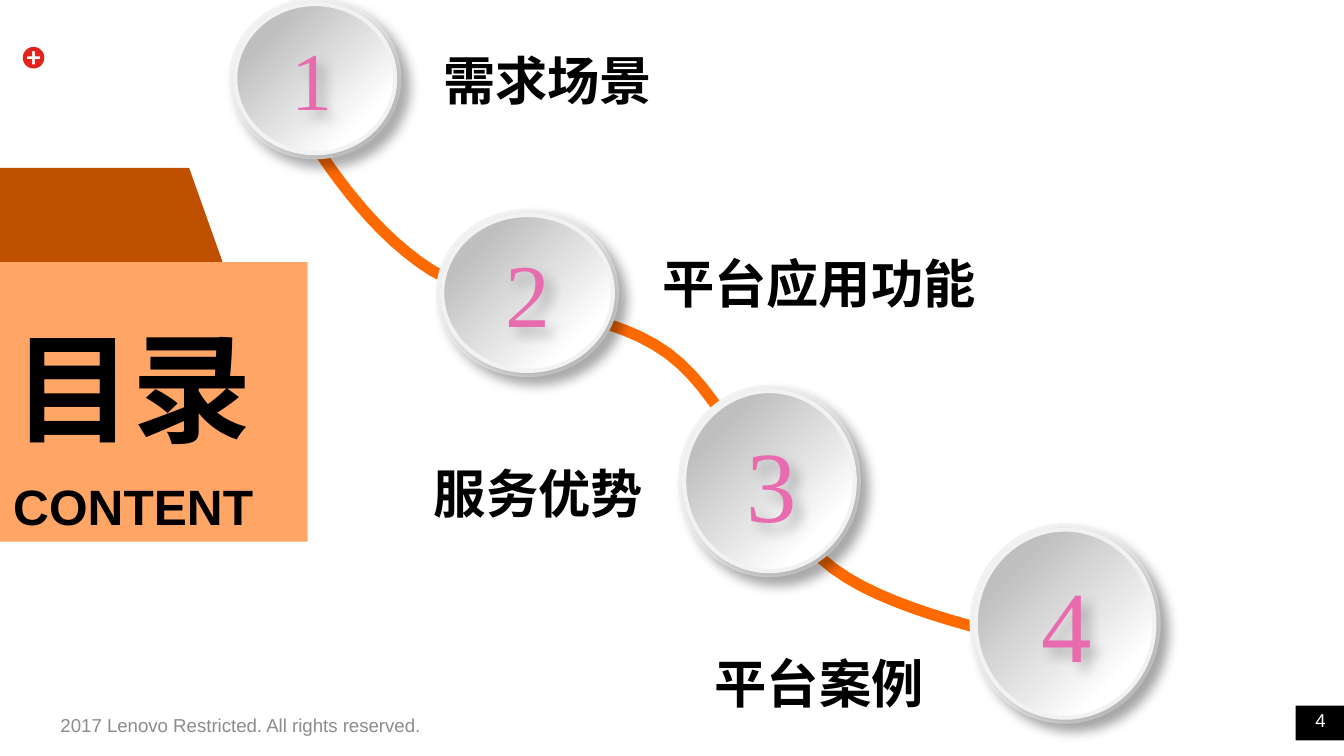
from math import cos, pi, sin

from lxml.etree import SubElement
from pptx import Presentation
from pptx.dml.color import RGBColor
from pptx.enum.shapes import MSO_SHAPE
from pptx.enum.text import MSO_ANCHOR, PP_ALIGN
from pptx.oxml.ns import qn
from pptx.util import Inches, Pt

BLACK = RGBColor(0x00, 0x00, 0x00)
WHITE = RGBColor(0xFF, 0xFF, 0xFF)
GREY = RGBColor(0x8C, 0x8C, 0x8C)
SILVER = RGBColor(0xBF, 0xBF, 0xBF)
RIM = RGBColor(0xF2, 0xF2, 0xF2)
PINK = RGBColor(0xE9, 0x6B, 0xAF)
ORANGE = RGBColor(0xFF, 0x6A, 0x00)
RUST = RGBColor(0xBF, 0x50, 0x00)
PEACH = RGBColor(0xFF, 0xA6, 0x66)
RED = RGBColor(0xE2, 0x23, 0x1A)
CJK_FONT = "Noto Sans CJK SC"

ROUTE = [
    (1.92, 0.39), (2.27, 0.98), (2.61, 1.58), (3.12, 1.95), (3.62, 2.32),
    (4.45, 2.25), (4.97, 2.63), (5.48, 3.01), (5.69, 3.85), (6.2, 4.23),
    (6.71, 4.61), (7.73, 4.75), (8.04, 4.89),
]
DISCS = [
    ("1", 44, (1.72, 0, 1.25, 1.17), (2.07, 0.16, 0.74, 0.84)),
    ("2", 48, (3.26, 1.57, 1.33, 1.22), (3.66, 1.72, 0.71, 0.91)),
    ("3", 54, (5.06, 2.88, 1.33, 1.4), (5.46, 3.09, 0.7, 1.01)),
    ("4", 54, (7.23, 3.91, 1.39, 1.46), (7.65, 4.13, 0.73, 1.01)),
]
TOPICS = [
    ("需求场景", (3.2, 0.31, 1.77, 0.57)),
    ("平台应用功能", (4.83, 1.82, 2.53, 0.57)),
    ("服务优势", (3.13, 3.38, 1.76, 0.57)),
    ("平台案例", (5.22, 4.8, 1.76, 0.57)),
]


def write(para, text, size=28, font="Arial", color=BLACK, bold=False,
          align=PP_ALIGN.LEFT, spacing=None):
    """Add one formatted run to a paragraph."""
    para.alignment = align
    para.line_spacing = spacing
    span = para.add_run()
    span.text = text
    span.font.size = Pt(size)
    span.font.name = font
    span.font.bold = bold
    span.font.color.rgb = color
    SubElement(span._r.get_or_add_rPr(), qn("a:ea"), typeface=CJK_FONT)


def curve_points(knots, steps=16):
    """Sample a chain of cubic Bezier segments."""
    points = [knots[0]]
    for start in range(0, len(knots) - 1, 3):
        segment = knots[start:start + 4]
        for step in range(1, steps + 1):
            t = step / steps
            weights = ((1 - t) ** 3, 3 * t * (1 - t) ** 2, 3 * t * t * (1 - t), t ** 3)
            points.append(tuple(
                sum(weight * knot[axis] for weight, knot in zip(weights, segment))
                for axis in (0, 1)))
    return points


class ContentsPage:
    """Hold the slide and draw its elements in one style."""

    def __init__(self, page):
        self.page = page

    def shape(self, kind, place, color, rotation=0):
        """Add a flat preset shape."""
        shape = self.page.shapes.add_shape(kind, *map(Inches, place))
        shape.shadow.inherit = False
        shape.fill.solid()
        shape.fill.fore_color.rgb = color
        shape.line.fill.background()
        shape.rotation = rotation
        return shape

    def text(self, text, place, wrap=True, margins=True, anchor=MSO_ANCHOR.TOP,
             parent=None, **style):
        """Add a one-paragraph text box."""
        box = (parent or self.page).shapes.add_textbox(*map(Inches, place))
        frame = box.text_frame
        frame.word_wrap = wrap
        frame.vertical_anchor = anchor
        if not margins:
            frame.margin_left = frame.margin_right = 0
            frame.margin_top = frame.margin_bottom = 0
        write(frame.paragraphs[0], text, **style)
        return box

    def outline(self, contours, close=True):
        """Add a freeform through one or more contours."""
        builder = self.page.shapes.build_freeform(
            *map(Inches, contours[0][0]), scale=1.0)
        for index, contour in enumerate(contours):
            points = [tuple(map(Inches, point)) for point in contour]
            if index:
                builder.move_to(*points[0])
            builder.add_line_segments(points[1:], close=close)
        shape = builder.convert_to_shape()
        shape.shadow.inherit = False
        return shape

    def plus_badge(self, x, y, radius, reach, half):
        """Add a round badge with a plus cut out."""
        ring = [(x + radius * cos(k * pi / 24), y + radius * sin(k * pi / 24))
                for k in range(48)]
        arm = [(half, -half), (half, -reach), (-half, -reach)]
        plus = []
        for _ in range(4):
            plus += [(x + dx, y + dy) for dx, dy in arm]
            arm = [(dy, -dx) for dx, dy in arm]
        badge = self.outline([ring, plus])
        badge.fill.solid()
        badge.fill.fore_color.rgb = RED
        badge.line.fill.background()

    def route(self, knots):
        """Add the curved line that joins the discs."""
        line = self.outline([curve_points(knots)], close=False)
        line.fill.background()
        line.line.color.rgb = ORANGE
        line.line.width = Pt(6)

    def soft_shadow(self, shape):
        """Cast a soft shadow down and to the right."""
        shape.shadow.inherit = False
        effects = shape._element.spPr.find(qn("a:effectLst"))
        shadow = SubElement(effects, qn("a:outerShdw"), blurRad=str(Pt(7)),
                            dist=str(Pt(5.9)), dir="2700000", algn="tl",
                            rotWithShape="0")
        color = SubElement(shadow, qn("a:srgbClr"), val=str(BLACK))
        SubElement(color, qn("a:alpha"), val="23000")

    def disc(self, number, size, place, number_place):
        """Add a raised numbered disc."""
        group = self.page.shapes.add_group_shape()
        left, top, width, height = place
        inset = 0.03
        face = (left + inset, top + inset, width - 2 * inset, height - 2 * inset)
        for kind, area in ((MSO_SHAPE.DONUT, place), (MSO_SHAPE.OVAL, face)):
            part = group.shapes.add_shape(kind, *map(Inches, area))
            if kind == MSO_SHAPE.DONUT:
                part.adjustments[0] = 0.05
            part.fill.gradient()
            part.fill.gradient_angle = 315
            for stop, (position, color) in zip(
                    part.fill.gradient_stops, ((0.2, SILVER), (0.8, WHITE))):
                stop.position = position
                stop.color.rgb = color
            part.line.color.rgb = RIM
            part.line.width = Pt(2.25)
            self.soft_shadow(part)
        box = self.text(number, number_place, parent=group, size=size,
                        font="Times New Roman", color=PINK)
        self.soft_shadow(box)

    def title_panel(self):
        """Add the folded title panel."""
        self.shape(MSO_SHAPE.FLOWCHART_OFFPAGE_CONNECTOR,
                   (-0.11, 1.36, 1.98, 1.76), RUST, rotation=270)
        panel = self.shape(MSO_SHAPE.RECTANGLE, (0, 1.95, 2.29, 2.08), PEACH)
        frame = panel.text_frame
        frame.word_wrap = True
        frame.vertical_anchor = MSO_ANCHOR.BOTTOM
        write(frame.paragraphs[0], "目录", size=64, bold=True, spacing=1.3)
        write(frame.add_paragraph(), "CONTENT", size=26.6, bold=True, spacing=1.3)


def main():
    """Build the contents slide."""
    deck = Presentation()
    deck.slide_width = Inches(10)
    deck.slide_height = deck.slide_width * 9 // 16
    page = ContentsPage(deck.slides.add_slide(deck.slide_layouts[6]))
    page.shape(MSO_SHAPE.RECTANGLE, (9.64, 5.25, 0.36, 0.26), BLACK)
    page.text("2017 Lenovo Restricted. All rights reserved.",
              (0.45, 5.31, 3.39, 0.33), margins=False, size=10, color=GREY)
    page.text("4", (9.64, 5.24, 0.37, 0.2), margins=False, anchor=MSO_ANCHOR.BOTTOM,
              size=10, color=WHITE, align=PP_ALIGN.CENTER)
    page.plus_badge(0.25, 0.43, 0.08, 0.05, 0.01)
    page.route(ROUTE)
    for disc in DISCS:
        page.disc(*disc)
    page.title_panel()
    for topic, place in TOPICS:
        page.text(topic, place, wrap=False, font=CJK_FONT, bold=True)
    deck.save("out.pptx")


if __name__ == "__main__":
    main()
